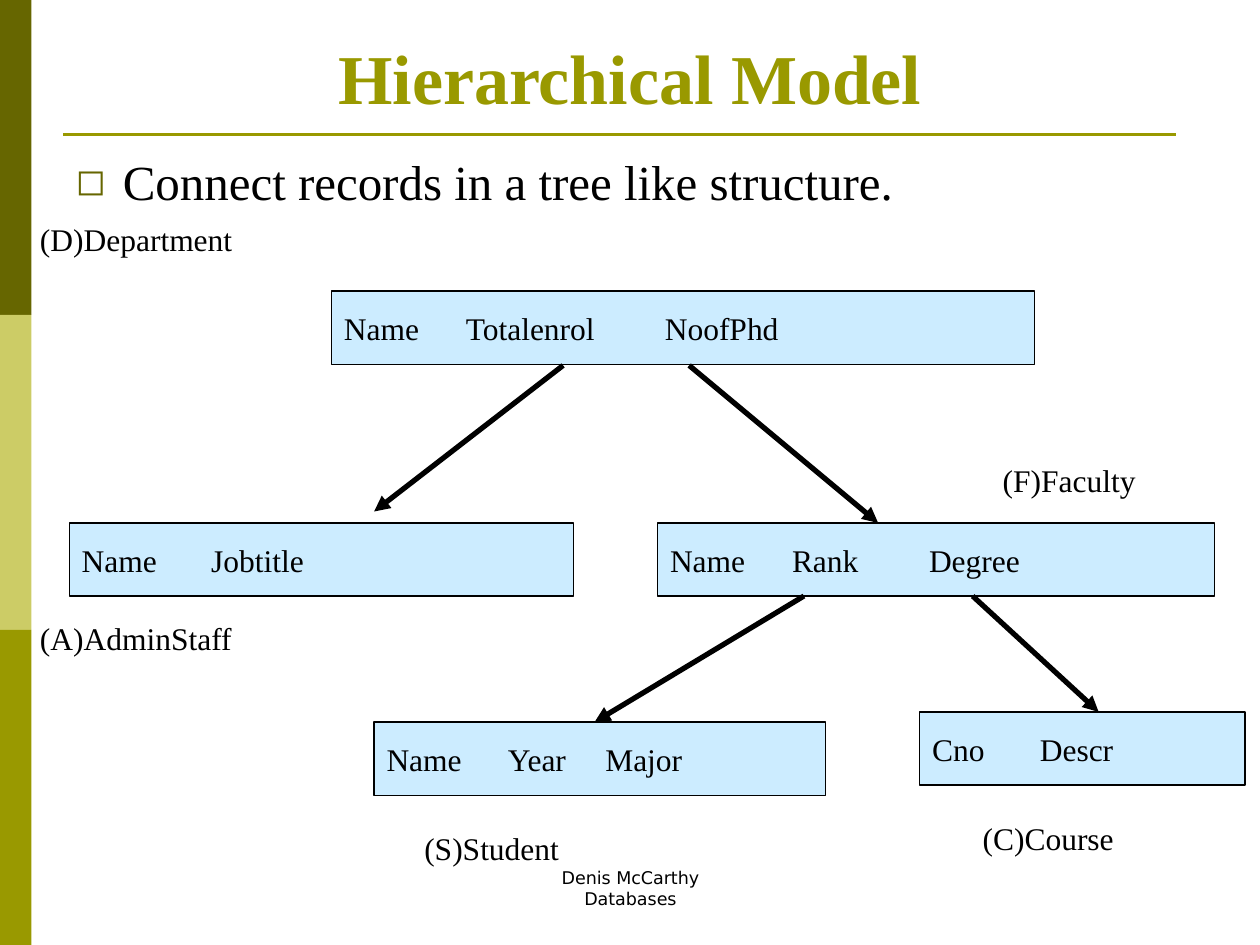
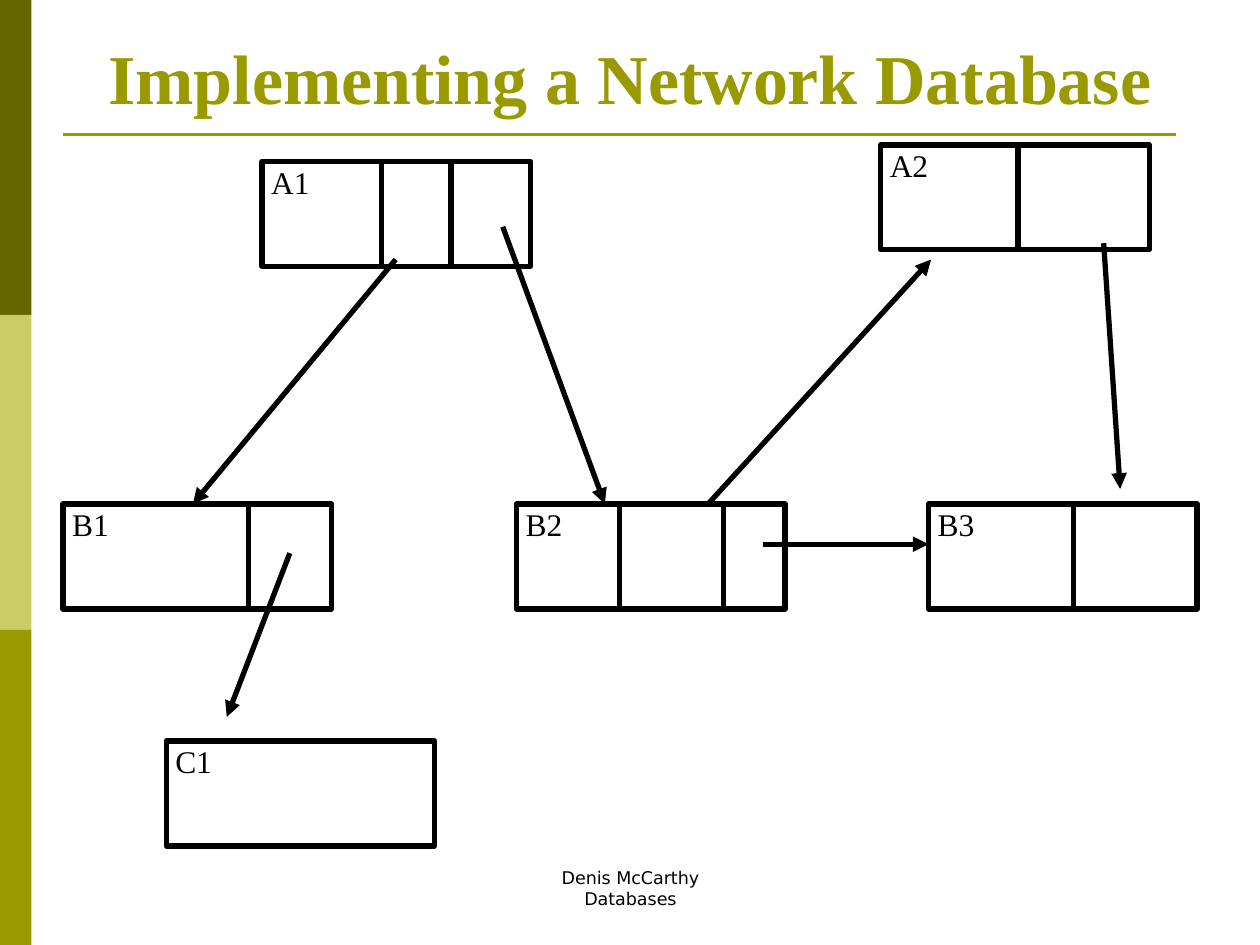
from dataclasses import dataclass

from lxml.etree import SubElement
from pptx import Presentation
from pptx.dml.color import RGBColor
from pptx.enum.shapes import MSO_CONNECTOR, MSO_SHAPE
from pptx.enum.text import MSO_ANCHOR, MSO_AUTO_SIZE, PP_ALIGN
from pptx.oxml.ns import qn
from pptx.util import Pt


@dataclass(frozen=True)
class Theme:
    olive: str = "999900"
    dark_olive: str = "666600"
    pale_olive: str = "CCCC66"
    record_fill: str = "CCECFF"
    ink: str = "000000"
    serif: str = "Times New Roman"
    sans: str = "DejaVu Sans"
    title_size: float = 40
    body_size: float = 28
    label_size: float = 18
    footer_size: float = 10
    thin_line: float = 0.75
    rule_line: float = 1.5
    thick_line: float = 3


THEME = Theme()
SLIDE_WIDTH, SLIDE_HEIGHT = 720, 540
TITLE_AND_CONTENT, TITLE_ONLY = 1, 5
RECORD_HEIGHT = 41.8
NODE_WIDTH, NODE_HEIGHT = 153.4, 60

# Field names, the tab stops between them, then left, top and width
RECORDS = [
    (["Name", "Totalenrol", "NoofPhd"], [69.7, 183.4], (189.4, 166.3, 401.8)),
    (["Name", "Rank", "Degree"], [69.7, 148], (375.8, 298.8, 318.2)),
    (["Name", "Jobtitle"], [74], (39.6, 298.8, 288)),
    (["Cno", "Descr"], [61.5], (525.6, 406.8, 185.8)),
    (["Name", "Year", "Major"], [69.4, 125], (213.8, 412.6, 257.8)),
]
RECORD_LABELS = [
    ("(A)AdminStaff", (15.8, 346.3, 161.3, 36)),
    ("(F)Faculty", (565.9, 256.3, 115.9, 36)),
    ("(S)Student", (235.4, 466.6, 117.4, 36)),
    ("(C)Course", (554.4, 460.8, 114.5, 36)),
    ("(D)Department", (15.8, 122.4, 125.3, 28.8)),
]
TREE_ARROWS = [
    ((321.8, 208.8), (213.8, 292.3)),
    ((393.8, 208.8), (501.8, 298.8)),
    ((459.4, 340.6), (339.8, 412.6)),
    ((555.8, 340.6), (627.8, 406.8)),
]

# Name, left, top and the x of each divider
NODES = [
    ("B2", 295.2, 288, [354.2, 413.3]),
    ("A1", 149.8, 92.2, [218.2, 257.8]),
    ("B1", 36, 288, [141.8]),
    ("A2", 503.3, 82.8, [581.8]),
    ("B3", 530.6, 288, [613.4]),
    ("C1", 95, 423.4, []),
]
NETWORK_ARROWS = [
    ((404.6, 288), (532.1, 148.3)),
    ((226.1, 148.3), (110.2, 288)),
    ((165.6, 316.1), (129.6, 409.7)),
    ((630.7, 139), (640.1, 279.4)),
    ((287.3, 129.6), (345.6, 288)),
    ((436.3, 311), (530.6, 311)),
]


def color(value):
    return RGBColor.from_string(value)


def format_paragraph(paragraph, size, font_color=THEME.ink, name=THEME.serif,
                     bold=False, alignment=PP_ALIGN.LEFT):
    paragraph.alignment = alignment
    font = paragraph.font
    font.name, font.size, font.bold = name, Pt(size), bold
    font.color.rgb = color(font_color)


def place(shape, left, top, width, height):
    shape.left, shape.top = Pt(left), Pt(top)
    shape.width, shape.height = Pt(width), Pt(height)


def add_box(slide, bounds, fill=None, line_width=None, kind=MSO_SHAPE.RECTANGLE):
    box = slide.shapes.add_shape(kind, *map(Pt, bounds))
    box.shadow.inherit = False
    if fill:
        box.fill.solid()
        box.fill.fore_color.rgb = color(fill)
    else:
        box.fill.background()
    if line_width:
        box.line.color.rgb = color(THEME.ink)
        box.line.width = Pt(line_width)
    else:
        box.line.fill.background()
    return box


def add_line(slide, start, end, width=THEME.thick_line, line_color=THEME.ink,
             arrow=False):
    connector = slide.shapes.add_connector(
        MSO_CONNECTOR.STRAIGHT, *map(Pt, (*start, *end)))
    connector.line.color.rgb = color(line_color)
    connector.line.width = Pt(width)
    properties = connector.element.spPr
    if arrow:
        SubElement(properties.find(qn("a:ln")), qn("a:tailEnd"), type="triangle")
    SubElement(properties, qn("a:effectLst"))
    return connector


def add_arrows(slide, arrows):
    for start, end in arrows:
        add_line(slide, start, end, arrow=True)


def add_master_decoration(presentation, slide):
    """Draw the side bands and title rule, then move them to the slide master."""
    band_height = SLIDE_HEIGHT / 3
    band_colors = (THEME.dark_olive, THEME.pale_olive, THEME.olive)
    decoration = [
        add_box(slide, (0, index * band_height, 18, band_height), band_color)
        for index, band_color in enumerate(band_colors)
    ]
    decoration.append(add_line(slide, (36, 77), (672, 77),
                               THEME.rule_line, THEME.olive))
    master_tree = presentation.slide_master.shapes.element
    for index, shape in enumerate(decoration):
        shape.element.xpath(".//p:cNvPr")[0].set("id", str(100 + index))
        master_tree.insert(2 + index, shape.element)


def set_title(slide, text):
    title = slide.shapes.title
    place(title, 36, 21.6, 648, 49.7)
    frame = title.text_frame
    frame.text = text
    frame.auto_size = MSO_AUTO_SIZE.NONE
    frame.vertical_anchor = MSO_ANCHOR.BOTTOM
    format_paragraph(frame.paragraphs[0], THEME.title_size, THEME.olive,
                     bold=True, alignment=PP_ALIGN.CENTER)


def set_bullet(paragraph):
    properties = paragraph._p.get_or_add_pPr()
    properties.set("marL", str(Pt(27)))
    properties.set("indent", str(Pt(-27)))
    bullet_color = SubElement(properties, qn("a:buClr"))
    SubElement(bullet_color, qn("a:srgbClr"), val=THEME.dark_olive)
    SubElement(properties, qn("a:buSzPct"), val="75000")
    SubElement(properties, qn("a:buFont"), typeface=THEME.sans)
    SubElement(properties, qn("a:buChar"), char="◻")


def set_body(slide, text):
    body = slide.placeholders[1]
    place(body, 36, 82.8, 648, 399.6)
    frame = body.text_frame
    frame.text = text
    frame.auto_size = MSO_AUTO_SIZE.NONE
    set_bullet(frame.paragraphs[0])
    format_paragraph(frame.paragraphs[0], THEME.body_size)


def add_footer(slide):
    footer = slide.shapes.add_textbox(*map(Pt, (246.2, 491.8, 228.2, 36)))
    frame = footer.text_frame
    frame.word_wrap = True
    frame.text = "Denis McCarthy\nDatabases"
    for paragraph in frame.paragraphs:
        format_paragraph(paragraph, THEME.footer_size, name=THEME.sans,
                         alignment=PP_ALIGN.CENTER)


def set_tab_stops(paragraph, stops):
    tab_list = SubElement(paragraph._p.get_or_add_pPr(), qn("a:tabLst"))
    for stop in stops:
        SubElement(tab_list, qn("a:tab"), pos=str(Pt(stop)), algn="l")


def add_record(slide, fields, stops, bounds):
    record = add_box(slide, (*bounds, RECORD_HEIGHT), THEME.record_fill,
                     THEME.thin_line, MSO_SHAPE.FLOWCHART_PROCESS)
    frame = record.text_frame
    frame.word_wrap = True
    frame.vertical_anchor = MSO_ANCHOR.MIDDLE
    paragraph = frame.paragraphs[0]
    paragraph.add_run().text = "\t".join(fields)
    set_tab_stops(paragraph, stops)
    format_paragraph(paragraph, THEME.label_size)


def add_label(slide, text, bounds):
    frame = slide.shapes.add_textbox(*map(Pt, bounds)).text_frame
    frame.word_wrap = True
    frame.margin_right = 0
    frame.vertical_anchor = MSO_ANCHOR.MIDDLE
    frame.text = text
    format_paragraph(frame.paragraphs[0], THEME.label_size)


def add_node(slide, name, left, top, dividers):
    """Draw a named record split into pointer cells by vertical dividers."""
    node = add_box(slide, (left, top, NODE_WIDTH, NODE_HEIGHT),
                   line_width=THEME.thick_line)
    frame = node.text_frame
    frame.word_wrap = True
    frame.vertical_anchor = MSO_ANCHOR.TOP
    frame.margin_left = Pt(5.2)
    frame.margin_top = frame.margin_right = frame.margin_bottom = Pt(0.7)
    frame.text = name
    format_paragraph(frame.paragraphs[0], THEME.label_size)
    for x in dividers:
        add_line(slide, (x, top), (x, top + NODE_HEIGHT))


def add_titled_slide(presentation, layout_index, title):
    slide = presentation.slides.add_slide(presentation.slide_layouts[layout_index])
    set_title(slide, title)
    add_footer(slide)
    return slide


def build_hierarchical_model(presentation):
    slide = add_titled_slide(presentation, TITLE_AND_CONTENT, "Hierarchical Model")
    set_body(slide, "Connect records in a tree like structure.")
    for record in RECORDS:
        add_record(slide, *record)
    add_arrows(slide, TREE_ARROWS)
    for label in RECORD_LABELS:
        add_label(slide, *label)
    return slide


def build_network_database(presentation):
    slide = add_titled_slide(presentation, TITLE_ONLY,
                             "Implementing a Network Database")
    for node in NODES:
        add_node(slide, *node)
    add_arrows(slide, NETWORK_ARROWS)


def main():
    presentation = Presentation()
    presentation.slide_width = Pt(SLIDE_WIDTH)
    presentation.slide_height = Pt(SLIDE_HEIGHT)
    first_slide = build_hierarchical_model(presentation)
    add_master_decoration(presentation, first_slide)
    build_network_database(presentation)
    presentation.save("out.pptx")


if __name__ == "__main__":
    main()
